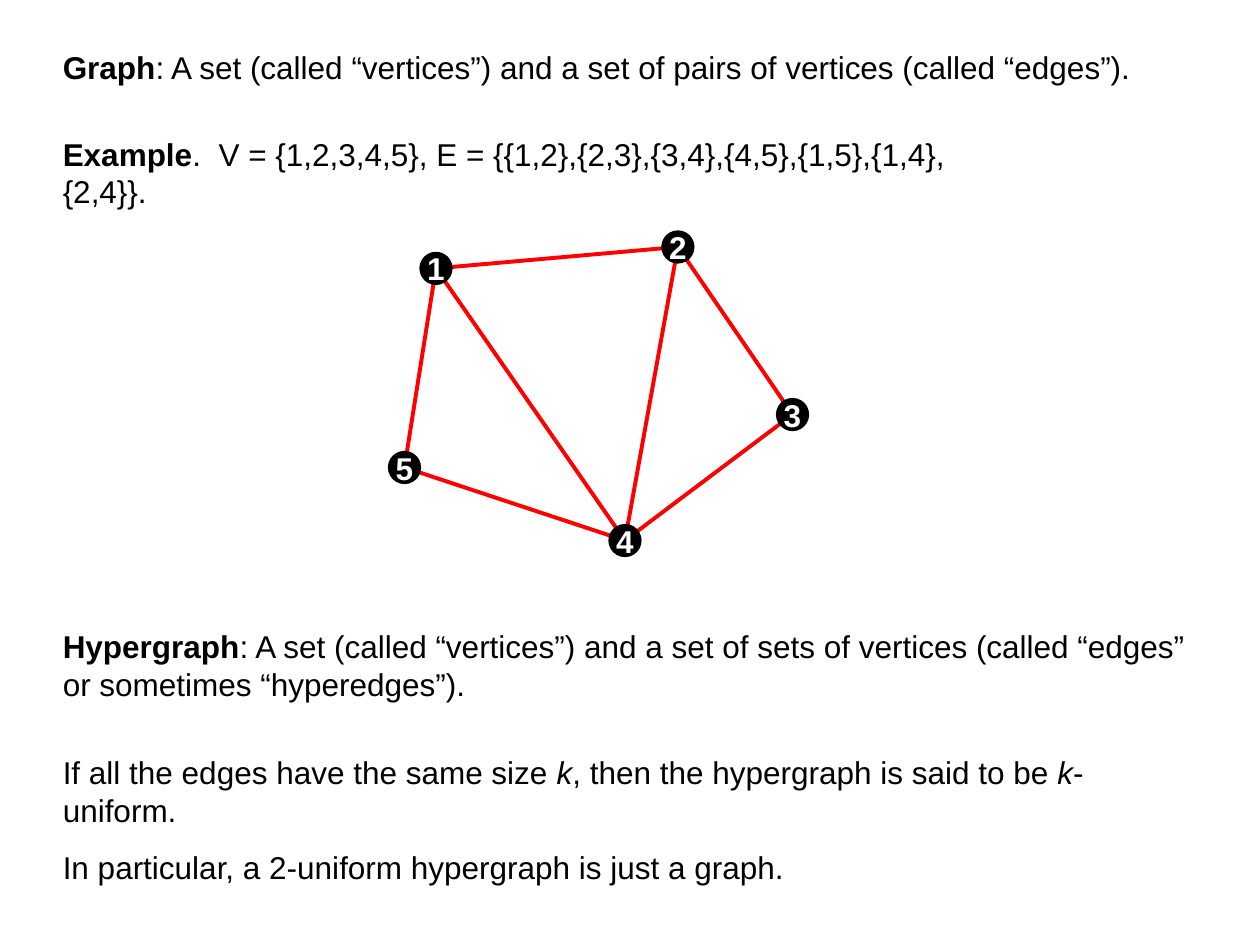
from dataclasses import dataclass

from lxml.etree import SubElement
from pptx import Presentation
from pptx.dml.color import RGBColor
from pptx.enum.shapes import MSO_CONNECTOR, MSO_SHAPE
from pptx.enum.text import MSO_ANCHOR, MSO_AUTO_SIZE, PP_ALIGN
from pptx.oxml.ns import qn
from pptx.shapes.group import GroupShape
from pptx.slide import Slide
from pptx.text.text import _Paragraph
from pptx.util import Inches, Pt

COLORS = {"text": "000000", "vertex": "000000", "label": "FFFFFF", "edge": "FF0000"}
FONT = "Arial"
TEXT_SIZE = 18
TEXT_LEFT = 0.4
DIAMETER = 0.25


@dataclass(frozen=True)
class Span:
    text: str
    bold: bool = False
    italic: bool = False


@dataclass(frozen=True)
class Statement:
    top: float
    width: float
    height: float
    paragraphs: list[list[Span]]


@dataclass(frozen=True)
class Vertex:
    label: str
    x: float
    y: float


STATEMENTS = [
    Statement(0.33, 8.7, 0.4, [[
        Span("Graph", bold=True),
        Span(": A set (called “vertices”) and a set of pairs of vertices (called “edges”)."),
    ]]),
    Statement(1.02, 7.87, 0.4, [[
        Span("Example", bold=True),
        Span(".  V = {1,2,3,4,5}, E = {{1,2},{2,3},{3,4},{4,5},{1,5},{1,4},{2,4}}."),
    ]]),
    Statement(4.93, 9.13, 0.7, [
        [
            Span("Hypergraph", bold=True),
            Span(": A set (called “vertices”) and a set of sets of vertices (called “edges”"),
        ],
        [Span("or sometimes “hyperedges”).")],
    ]),
    Statement(5.93, 9.2, 0.4, [[
        Span("If all the edges have the same size "),
        Span("k", italic=True),
        Span(", then the hypergraph is said to be "),
        Span("k", italic=True),
        Span("-uniform."),
    ]]),
    Statement(6.68, 5.94, 0.4, [[
        Span("In particular, a 2-uniform hypergraph is just a graph."),
    ]]),
]

VERTICES = {
    1: Vertex("1", 3.46, 2.13),
    2: Vertex("2", 5.38, 1.96),
    3: Vertex("3", 6.29, 3.29),
    4: Vertex("4", 4.96, 4.29),
    5: Vertex("5", 3.21, 3.71),
}
EDGES = [(1, 2), (2, 3), (3, 4), (4, 5), (1, 5), (1, 4), (2, 4)]


def color(name: str) -> RGBColor:
    return RGBColor.from_string(COLORS[name])


def set_font(paragraph: _Paragraph, color_name: str) -> None:
    font = paragraph.font
    font.name = FONT
    font.size = Pt(TEXT_SIZE)
    font.color.rgb = color(color_name)


def add_statement(page: Slide, statement: Statement) -> None:
    box = page.shapes.add_textbox(
        Inches(TEXT_LEFT), Inches(statement.top),
        Inches(statement.width), Inches(statement.height),
    )
    frame = box.text_frame
    frame.word_wrap = False
    frame.auto_size = MSO_AUTO_SIZE.SHAPE_TO_FIT_TEXT
    for index, spans in enumerate(statement.paragraphs):
        paragraph = frame.add_paragraph() if index else frame.paragraphs[0]
        set_font(paragraph, "text")
        for span in spans:
            run = paragraph.add_run()
            run.text = span.text
            if span.bold:
                run.font.bold = True
            if span.italic:
                run.font.italic = True


def add_edge(graph: GroupShape, start: Vertex, end: Vertex) -> None:
    edge = graph.shapes.add_connector(
        MSO_CONNECTOR.STRAIGHT,
        Inches(start.x), Inches(start.y), Inches(end.x), Inches(end.y),
    )
    edge.line.color.rgb = color("edge")
    edge.line.width = Pt(2.25)
    SubElement(edge._element.spPr, qn("a:effectLst"))


def add_vertex(graph: GroupShape, vertex: Vertex) -> None:
    circle = graph.shapes.add_shape(
        MSO_SHAPE.OVAL,
        Inches(vertex.x - DIAMETER / 2), Inches(vertex.y - DIAMETER / 2),
        Inches(DIAMETER), Inches(DIAMETER),
    )
    circle.shadow.inherit = False
    circle.fill.solid()
    circle.fill.fore_color.rgb = color("vertex")
    circle.line.color.rgb = color("vertex")
    circle.line.width = Pt(1)
    frame = circle.text_frame
    frame.word_wrap = False
    frame.vertical_anchor = MSO_ANCHOR.MIDDLE
    paragraph = frame.paragraphs[0]
    paragraph.text = vertex.label
    paragraph.alignment = PP_ALIGN.CENTER
    set_font(paragraph, "label")
    paragraph.font.bold = True


def main() -> None:
    deck = Presentation()
    deck.slide_width = Inches(10)
    deck.slide_height = Inches(7.5)
    page = deck.slides.add_slide(deck.slide_layouts.get_by_name("Blank"))

    for statement in STATEMENTS[:2]:
        add_statement(page, statement)
    graph = page.shapes.add_group_shape()
    for start, end in EDGES:
        add_edge(graph, VERTICES[start], VERTICES[end])
    for vertex in VERTICES.values():
        add_vertex(graph, vertex)
    for statement in STATEMENTS[2:]:
        add_statement(page, statement)

    deck.save("out.pptx")


if __name__ == "__main__":
    main()
